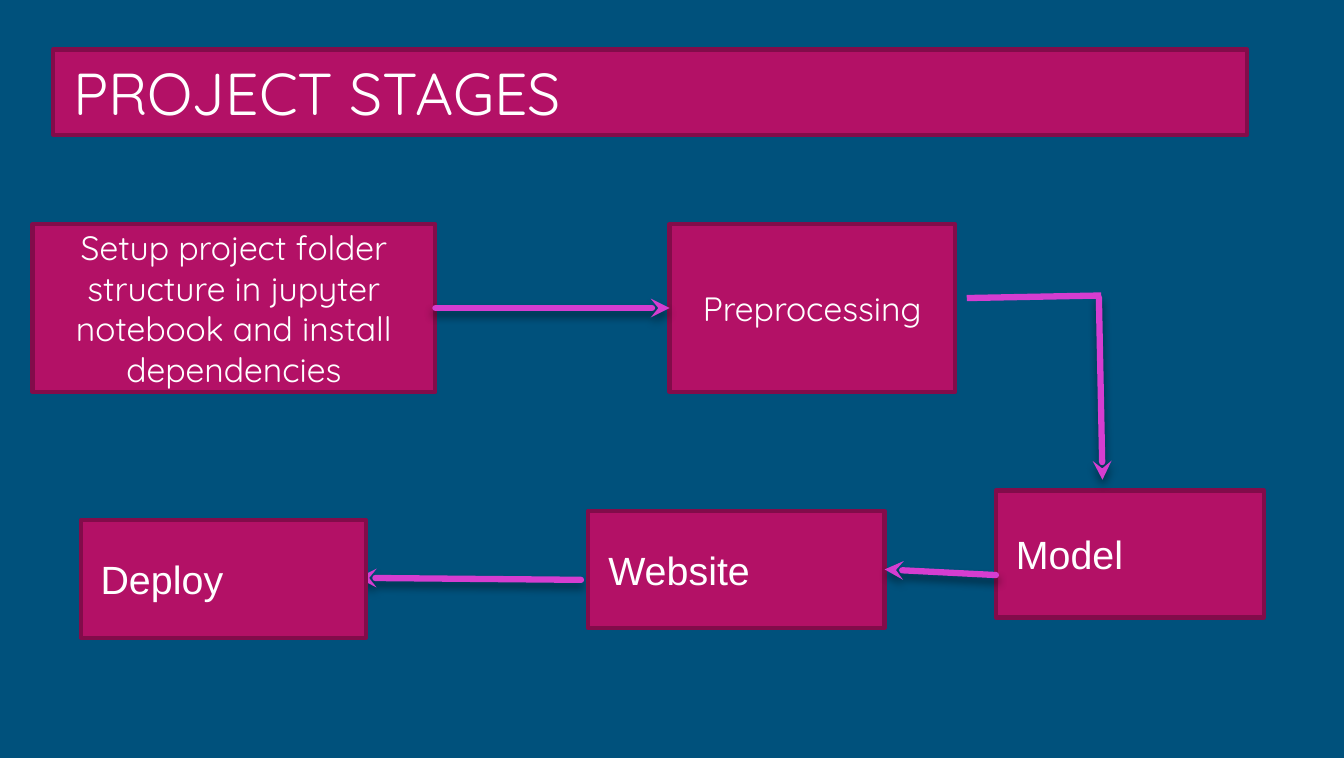
"""Build the project stages flow slide."""
from lxml.etree import SubElement
from pptx import Presentation
from pptx.dml.color import RGBColor
from pptx.enum.shapes import MSO_CONNECTOR, MSO_SHAPE
from pptx.enum.text import MSO_ANCHOR, MSO_AUTO_SIZE, PP_ALIGN
from pptx.oxml.ns import qn
from pptx.util import Pt

COLORS = {
    "background": "00517C",
    "box": "B31166",
    "border": "820C4A",
    "text": "FFFFFF",
    "arrow": "D53DD0",
    "shadow": "000000",
}
HEADING = {"name": "Quicksand", "size": Pt(21), "bold": False}
WIDE_STAGE = {"name": "Quicksand", "size": Pt(12)}
SHORT_STAGE = {"name": "Arial", "size": Pt(14)}


def format_box(shape, text, font_format, align, margin):
    shape.fill.solid()
    shape.fill.fore_color.rgb = RGBColor.from_string(COLORS["box"])
    shape.line.color.rgb = RGBColor.from_string(COLORS["border"])
    shape.line.width = Pt(1.5)
    frame = shape.text_frame
    frame_format = {
        "text": text,
        "word_wrap": True,
        "auto_size": MSO_AUTO_SIZE.NONE,
        "vertical_anchor": MSO_ANCHOR.MIDDLE,
        "margin_left": Pt(7.2),
        "margin_right": Pt(7.2),
        "margin_top": Pt(margin),
        "margin_bottom": Pt(margin),
    }
    for name, value in frame_format.items():
        setattr(frame, name, value)
    paragraph = frame.paragraphs[0]
    paragraph.alignment = align
    font = paragraph.runs[0].font
    for name, value in font_format.items():
        setattr(font, name, value)
    font.color.rgb = RGBColor.from_string(COLORS["text"])


def add_line(start, end, arrow=True):
    connector = slide.shapes.add_connector(
        MSO_CONNECTOR.STRAIGHT, *(Pt(value) for value in start + end))
    connector.line.color.rgb = RGBColor.from_string(COLORS["arrow"])
    connector.line.width = Pt(2.25)
    effects = SubElement(connector.element.spPr, qn("a:effectLst"))
    if arrow:
        outline = connector.get_or_add_ln()
        outline.set("cap", "rnd")
        SubElement(outline, qn("a:tailEnd"), type="stealth")
        shadow = SubElement(effects, qn("a:outerShdw"), blurRad=str(Pt(3)),
                            dist=str(Pt(2)), dir="5400000", rotWithShape="0")
        color = SubElement(shadow, qn("a:srgbClr"), val=COLORS["shadow"])
        SubElement(color, qn("a:alpha"), val="45000")
    return connector


presentation = Presentation()
presentation.slide_width = Pt(478.1)
presentation.slide_height = Pt(269.55)
slide = presentation.slides.add_slide(presentation.slide_layouts[5])
slide.background.fill.solid()
slide.background.fill.fore_color.rgb = RGBColor.from_string(COLORS["background"])

title = slide.shapes.title
title_place = {"left": 18.9, "top": 17.6, "width": 424.8, "height": 30.3}
for name, value in title_place.items():
    setattr(title, name, Pt(value))
format_box(title, "PROJECT STAGES", HEADING, PP_ALIGN.LEFT, 3.6)

top_row = [
    ("Setup project folder structure in jupyter notebook and install dependencies",
     (11.6, 79.7, 143.3, 59.7)),
    ("Preprocessing", (238.2, 79.7, 101.6, 59.7)),
]
bottom_row = [
    ("Deploy", (28.7, 185, 101.5, 41.8)),
    ("Website", (209.3, 181.6, 105.4, 41.8)),
    ("Model", (354.3, 174.4, 95.3, 45.2)),
]
rows = [
    (top_row, WIDE_STAGE, PP_ALIGN.CENTER, 3.6),
    (bottom_row, SHORT_STAGE, PP_ALIGN.LEFT, 7.2),
]

add_line((206.7, 206.2), (127.3, 205.5))

stages = {}
for row, font_format, align, margin in rows:
    for text, place in row:
        box = slide.shapes.add_shape(
            MSO_SHAPE.RECTANGLE, *(Pt(value) for value in place))
        box.shadow.inherit = False
        format_box(box, text, font_format, align, margin)
        stages[text.split()[0]] = box

setup_arrow = add_line((154.9, 109.55), (238.2, 109.55))
setup_arrow.begin_connect(stages["Setup"], 3)
setup_arrow.end_connect(stages["Preprocessing"], 1)

add_line((390.9, 105.8), (392.2, 170.6))
model_arrow = add_line((354.3, 204.5), (314.7, 202.5))
model_arrow.end_connect(stages["Website"], 3)
add_line((343.9, 106), (391.7, 105.1), arrow=False)

presentation.save("out.pptx")
